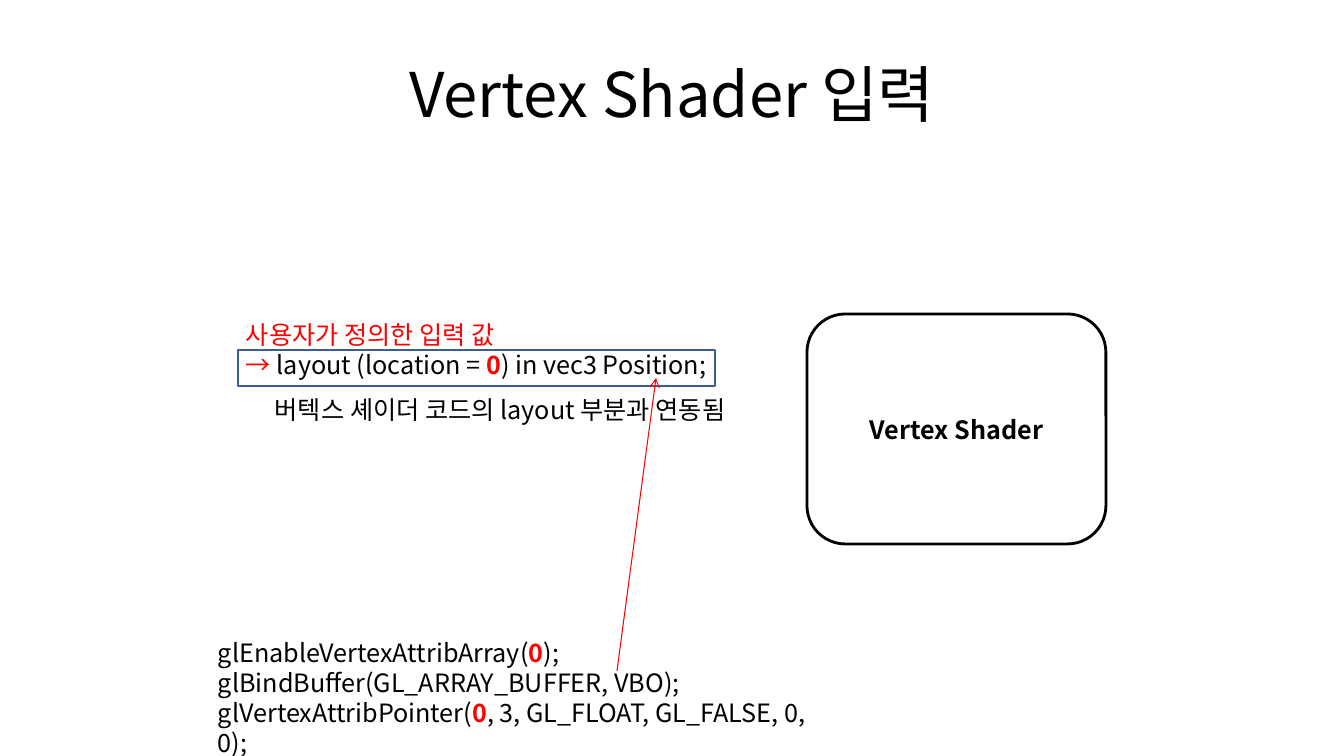
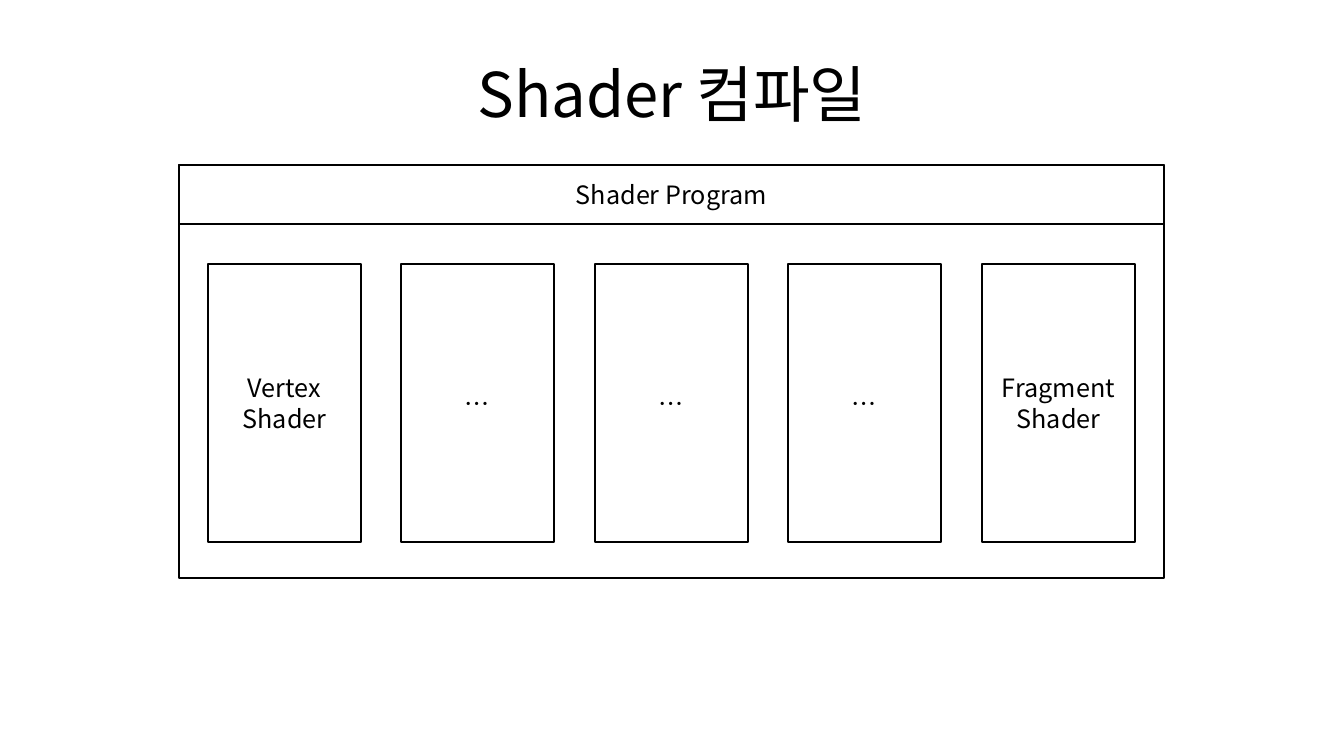
import pptx
import pptx.dml.color
import pptx.enum.shapes
import pptx.enum.text
import pptx.oxml
import pptx.oxml.ns
import pptx.util

PX = 12192000 / 1344
FONT = "Noto Sans CJK KR"
COLORS = {"black": "000000", "white": "FFFFFF", "red": "FF0000", "blue": "3A5F8C"}
SHAPE = pptx.enum.shapes.MSO_SHAPE
ALIGN = pptx.enum.text.PP_ALIGN
ANCHOR = pptx.enum.text.MSO_ANCHOR


def px(n):
    return pptx.util.Emu(round(n * PX))


def rgb(name):
    return pptx.dml.color.RGBColor.from_string(COLORS[name])


def add_run(p, text, color="black", bold=False, size=18):
    r = p.add_run()
    r.text = text
    formats = {"name": FONT, "size": pptx.util.Pt(size), "bold": bold}
    for key, value in formats.items():
        setattr(r.font, key, value)
    r.font.color.rgb = rgb(color)
    ea = pptx.oxml.parse_xml(f'<a:ea {pptx.oxml.ns.nsdecls("a")} typeface="{FONT}"/>')
    r.font._element.find(pptx.oxml.ns.qn("a:latin")).addnext(ea)


def write(sp, lines, align=ALIGN.LEFT, anchor=ANCHOR.TOP, size=18):
    """Fill a shape with lines, each a list of (text, color, bold) runs."""
    tf = sp.text_frame
    formats = {"word_wrap": True, "vertical_anchor": anchor}
    for key, value in formats.items():
        setattr(tf, key, value)
    for i, runs in enumerate(lines):
        p = tf.paragraphs[0] if i == 0 else tf.add_paragraph()
        p.alignment = align
        for run in runs:
            add_run(p, *run, size=size)


def add_text(s, box, lines, **layout):
    write(s.shapes.add_textbox(*map(px, box)), lines, **layout)


def add_box(s, box, text="", kind=SHAPE.RECTANGLE, line="black", fill="white", bold=False):
    sp = s.shapes.add_shape(kind, *map(px, box))
    sp.shadow.inherit = False
    if fill:
        sp.fill.solid()
        sp.fill.fore_color.rgb = rgb(fill)
    else:
        sp.fill.background()
    sp.line.color.rgb = rgb(line)
    sp.line.width = pptx.util.Pt(2)
    if text:
        write(sp, [[(text, "black", bold)]], ALIGN.CENTER, ANCHOR.MIDDLE)


def add_arrow(s, start, end, color):
    straight = pptx.enum.shapes.MSO_CONNECTOR.STRAIGHT
    line = s.shapes.add_connector(straight, *map(px, start + end))
    line.line.color.rgb = rgb(color)
    line.line.width = pptx.util.Pt(0.75)
    ns = pptx.oxml.ns.nsdecls("a")
    line.line._get_or_add_ln().append(pptx.oxml.parse_xml(f'<a:tailEnd {ns} type="arrow"/>'))
    line._element.spPr.append(pptx.oxml.parse_xml(f"<a:effectLst {ns}/>"))


def add_slide(prs, title):
    s = prs.slides.add_slide(prs.slide_layouts[6])
    add_text(s, (67, 30, 1210, 126), [[(title,)]],
             align=ALIGN.CENTER, anchor=ANCHOR.MIDDLE, size=44)
    return s


def build_input_slide(prs):
    s = add_slide(prs, "Vertex Shader 입력")
    zero = ("0", "red", True)
    add_box(s, (238, 350, 477, 36), line="blue", fill=None)
    add_box(s, (807, 314, 299, 230), "Vertex Shader", SHAPE.ROUNDED_RECTANGLE, bold=True)
    add_text(s, (236, 314, 572, 72), [
        [("사용자가 정의한 입력 값", "red")],
        [("→ ", "red"), ("layout (location = ",), zero, (") in vec3 Position;",)],
    ])
    add_text(s, (208, 632, 628, 102), [
        [("glEnableVertexAttribArray(",), zero, (");",)],
        [("glBindBuffer(GL_ARRAY_BUFFER, VBO);",)],
        [("glVertexAttribPointer(",), zero, (", 3, GL_FLOAT, GL_FALSE, 0, 0);",)],
    ])
    add_arrow(s, (617, 671), (656, 378), "red")
    add_text(s, (206, 389, 588, 40), [[("버텍스 셰이더 코드의 layout 부분과 연동됨",)]],
             align=ALIGN.CENTER)


def build_compile_slide(prs):
    s = add_slide(prs, "Shader 컴파일")
    program = s.shapes.add_group_shape()
    add_box(program, (179, 165, 985, 413))
    stages = ["Vertex Shader", "…", "…", "…", "Fragment Shader"]
    first, last = 208, 982
    for i, stage in enumerate(stages):
        left = first + (last - first) * i // (len(stages) - 1)
        add_box(program, (left, 264, 153, 278), stage)
    add_box(program, (179, 165, 985, 59), "Shader Program")


def main():
    prs = pptx.Presentation()
    prs.slide_width, prs.slide_height = px(1344), px(756)
    build_input_slide(prs)
    build_compile_slide(prs)
    prs.save("out.pptx")


if __name__ == "__main__":
    main()
